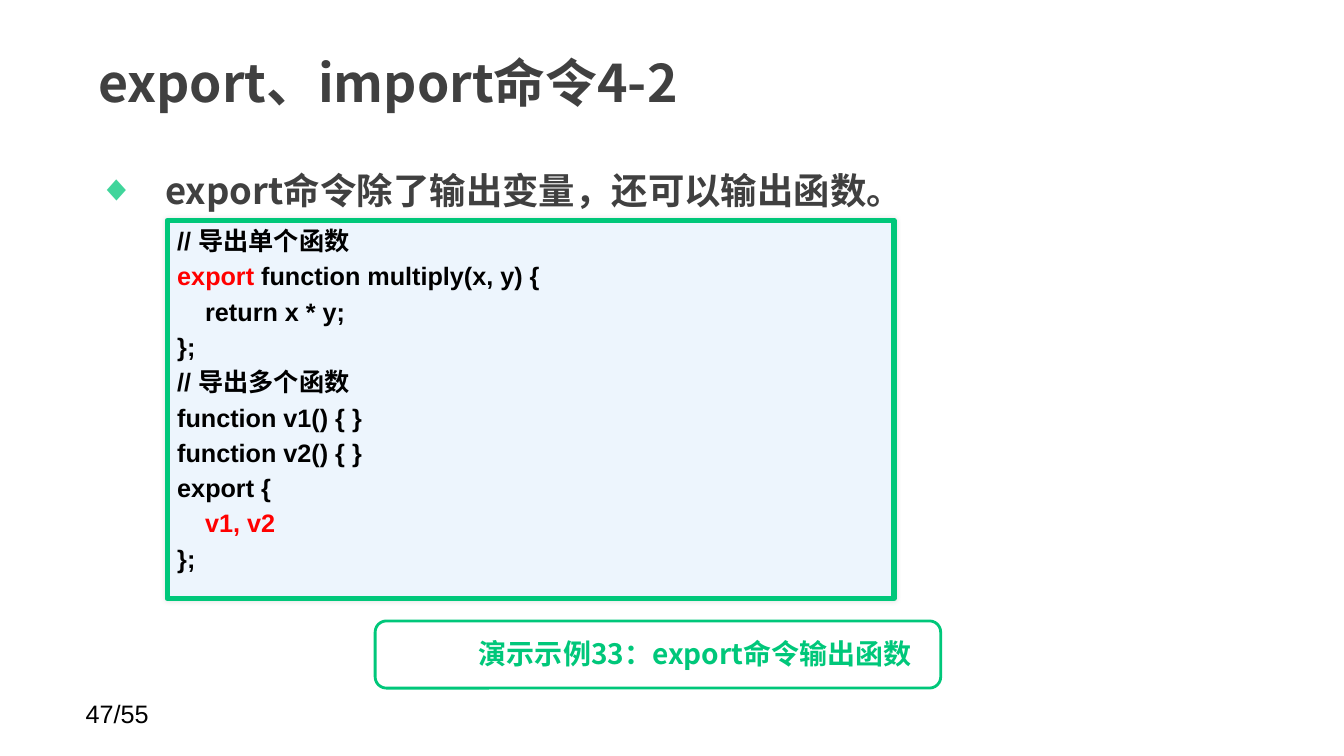
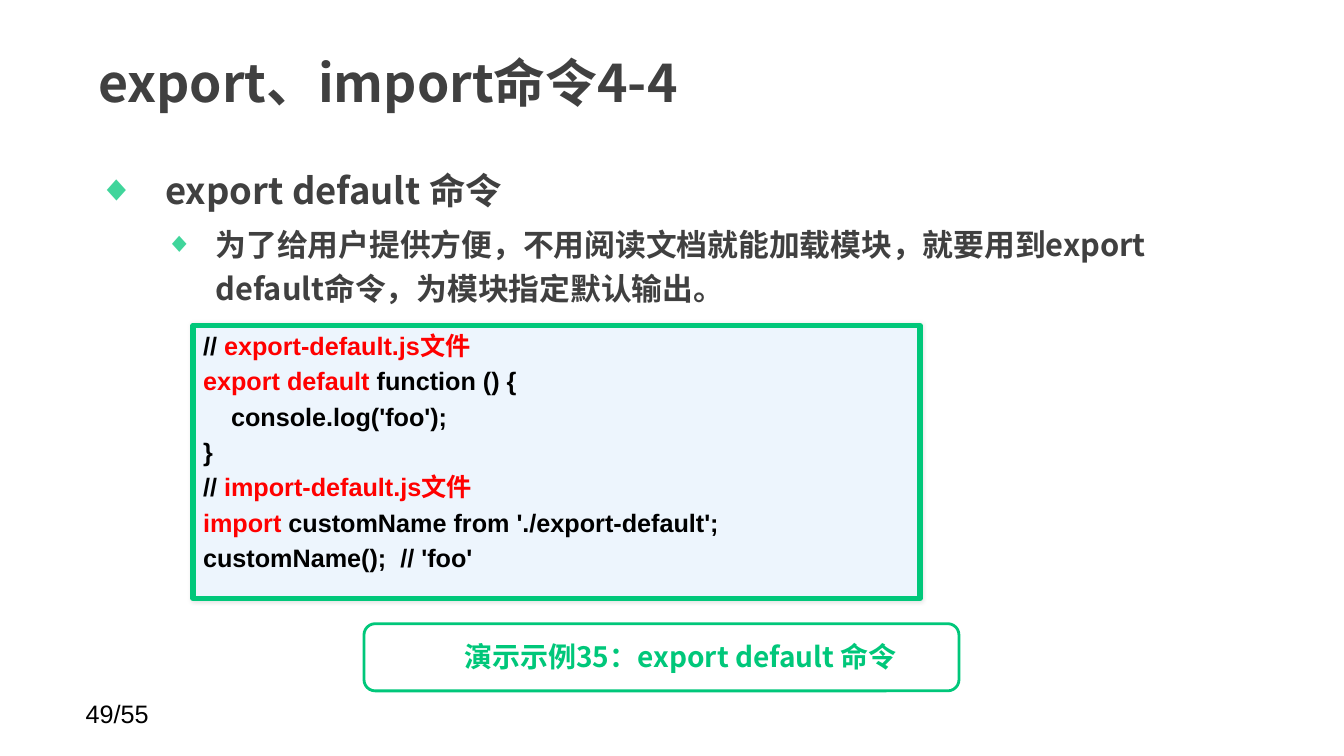
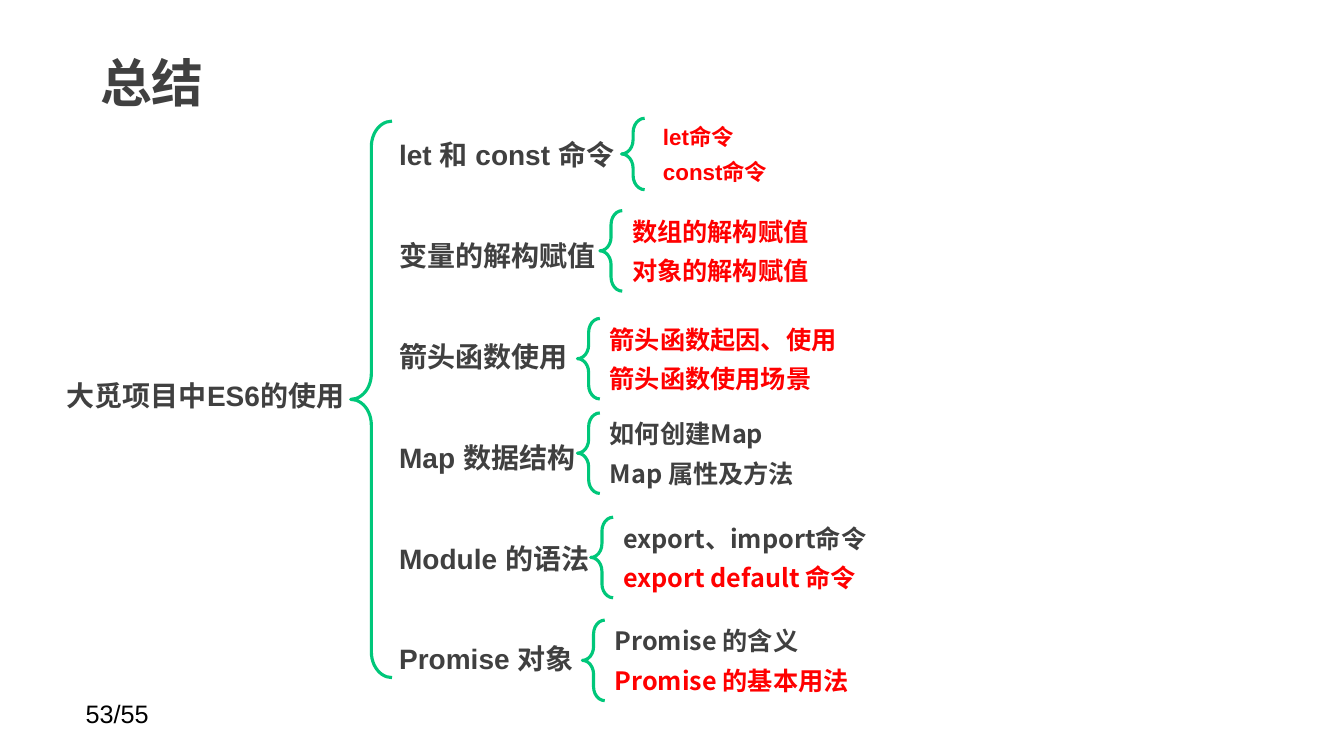
from dataclasses import dataclass

from lxml import etree
from pptx import Presentation
from pptx.dml.color import RGBColor
from pptx.enum.shapes import MSO_SHAPE
from pptx.enum.text import MSO_ANCHOR, PP_ALIGN
from pptx.oxml.ns import qn
from pptx.util import Pt

ROUND_RECT = MSO_SHAPE.ROUNDED_RECTANGLE
LEFT_BRACE = MSO_SHAPE.LEFT_BRACE
TOP, MIDDLE = MSO_ANCHOR.TOP, MSO_ANCHOR.MIDDLE
LEFT, CENTER = PP_ALIGN.LEFT, PP_ALIGN.CENTER


@dataclass(frozen=True)
class Theme:
    green: str = "00C77A"
    bullet: str = "40D59B"
    code_fill: str = "EDF5FD"
    ink: str = "404040"
    black: str = "000000"
    red: str = "FF0000"
    sans: str = "Arial"
    cjk: str = "Noto Sans CJK SC"
    title_size: int = 37
    point_size: int = 26
    subpoint_size: int = 22
    topic_size: int = 20
    code_size: int = 18
    small_size: int = 16
    line_height: float = 1.2


THEME = Theme()
PAGE_COUNT = 55
WIDE_MARGINS = (9.6, 4.8)
NORMAL_MARGINS = (7.2, 3.6)


def rgb(value):
    return RGBColor.from_string(value)


def add_xml(parent, tag, **attributes):
    return etree.SubElement(parent, qn(tag), attributes)


# Text
def setup_frame(shape, margins=NORMAL_MARGINS, anchor=TOP):
    frame = shape.text_frame
    frame.word_wrap = True
    frame.vertical_anchor = anchor
    frame.margin_left = frame.margin_right = Pt(margins[0])
    frame.margin_top = frame.margin_bottom = Pt(margins[1])
    return frame


def add_textbox(slide, left, top, width, height, **setup):
    box = slide.shapes.add_textbox(Pt(left), Pt(top), Pt(width), Pt(height))
    return setup_frame(box, **setup)


def write_line(frame, content, size, font=THEME.cjk, color=THEME.ink, bold=True,
               spacing=1.0, before=0, align=LEFT, bullet=None):
    """Write one paragraph; content is a string or a list of (text, color)."""
    first = not frame.paragraphs[0].runs
    paragraph = frame.paragraphs[0] if first else frame.add_paragraph()
    paragraph.alignment = align
    if spacing:
        paragraph.line_spacing = Pt(round(size * THEME.line_height * spacing, 1))
    if before and not first:
        paragraph.space_before = Pt(before)
    if bullet:
        add_bullet(paragraph, *bullet)

    runs = [(content, color)] if isinstance(content, str) else content
    mixed = len({run_color for _, run_color in runs}) > 1
    for text, run_color in runs:
        run = paragraph.add_run()
        run.text = text
        if mixed:
            run.font.color.rgb = rgb(run_color)

    paragraph.font.size = Pt(size)
    paragraph.font.bold = bold
    paragraph.font.name = font
    if not mixed:
        paragraph.font.color.rgb = rgb(runs[0][1])
    defaults = paragraph._p.pPr.find(qn("a:defRPr"))
    add_xml(defaults, "a:ea", typeface=font)


def add_bullet(paragraph, margin, hanging, percent):
    properties = paragraph._p.get_or_add_pPr()
    properties.set("marL", str(Pt(margin)))
    properties.set("indent", str(-Pt(hanging)))
    color = add_xml(properties, "a:buClr")
    add_xml(color, "a:srgbClr", val=THEME.bullet)
    add_xml(properties, "a:buSzPct", val=str(percent * 1000))
    add_xml(properties, "a:buFont", typeface=THEME.sans)
    add_xml(properties, "a:buChar", char="◆")


# Shapes
def add_outline(slide, kind, left, top, width, height, weight, fill=None):
    shape = slide.shapes.add_shape(kind, Pt(left), Pt(top), Pt(width), Pt(height))
    shape.shadow.inherit = False
    shape.line.color.rgb = rgb(THEME.green)
    shape.line.width = Pt(weight)
    if fill:
        shape.fill.solid()
        shape.fill.fore_color.rgb = rgb(fill)
    else:
        shape.fill.background()
    return shape


def add_brace(slide, left, top, width, height):
    brace = add_outline(slide, LEFT_BRACE, left, top, width, height, 2.25)
    brace.adjustments[0] = 0.62
    brace.adjustments[1] = 0.5


def add_soft_shadow(shape):
    effects = shape._element.spPr.find(qn("a:effectLst"))
    shadow = add_xml(effects, "a:outerShdw", blurRad=str(Pt(3)), dist="0",
                     dir="0", algn="ctr", rotWithShape="0")
    color = add_xml(shadow, "a:srgbClr", val=THEME.black)
    add_xml(color, "a:alpha", val="10000")


# Slide parts
def start_slide(deck, title, page, title_left=60.5):
    slide = deck.slides.add_slide(deck.slide_layouts[6])
    footer = add_textbox(slide, 54, 495, 168, 29)
    write_line(footer, f"{page}/{PAGE_COUNT}", THEME.code_size, THEME.sans,
               THEME.black, bold=False, spacing=None)
    heading = add_textbox(slide, title_left, 21.5, 811.5 - title_left, 74,
                          margins=WIDE_MARGINS, anchor=MIDDLE)
    write_line(heading, title, THEME.title_size, spacing=None)
    return slide


def add_points(slide, point, subpoint=None):
    body = add_textbox(slide, 60.5, 103, 821.5, 379.5, margins=WIDE_MARGINS)
    write_line(body, point, THEME.point_size, spacing=1.4, bullet=(48, 48, 100))
    if subpoint:
        write_line(body, subpoint, THEME.subpoint_size, spacing=1.2, before=4.4,
                   bullet=(84, 36, 90))


def add_code(slide, left, top, height, lines):
    panel = add_outline(slide, ROUND_RECT, left, top, 519, height, 4,
                        THEME.code_fill)
    panel.adjustments[0] = 0
    add_soft_shadow(panel)
    frame = setup_frame(panel)
    for line in lines:
        write_line(frame, line, THEME.code_size, THEME.sans, THEME.black,
                   before=THEME.code_size * 0.2)


def add_demo_label(slide, left, top, width, text, text_offset):
    add_outline(slide, ROUND_RECT, left, top, width, 48, 2)
    label = add_textbox(slide, left + text_offset, top + 7.5, width - 48, 32)
    write_line(label, text, THEME.topic_size, color=THEME.green)


def add_branch(slide, left, top, items, width=16, height=57.5, gap=0,
               size=THEME.code_size, font=THEME.cjk):
    add_brace(slide, left, top, width, height)
    details = add_textbox(slide, left + width + gap, top - 6, 247, height + 6.5)
    for text, color in items:
        write_line(details, text, size, font, color, spacing=1.3)


# Slides
def build_export_functions(deck):
    slide = start_slide(deck, "export、import命令4-2", 47)
    add_points(slide, "export命令除了输出变量，还可以输出函数。")
    add_demo_label(slide, 268, 443.5, 404, "演示示例33：export命令输出函数", 67)
    add_code(slide, 119.5, 157.5, 270, [
        "// 导出单个函数",
        [("export ", THEME.red), ("function multiply(x, y) {", THEME.black)],
        "    return x * y;",
        "};",
        "// 导出多个函数",
        "function v1() { }",
        "function v2() { }",
        "export {",
        [("    v1, v2", THEME.red)],
        "};",
    ])


def build_export_default(deck):
    slide = start_slide(deck, "export、import命令4-4", 49)
    add_points(slide, "export default 命令",
               "为了给用户提供方便，不用阅读文档就能加载模块，就要用到"
               "export default命令，为模块指定默认输出。")
    add_demo_label(slide, 260, 445.5, 425, "演示示例35：export default 命令", 64.5)
    add_code(slide, 138, 232.5, 195, [
        [("// ", THEME.black), ("export-default.js文件", THEME.red)],
        [("export default", THEME.red), (" function () {", THEME.black)],
        "    console.log('foo');",
        "}",
        [("//", THEME.black), (" import-default.js文件", THEME.red)],
        [("import", THEME.red),
         (" customName from './export-default';", THEME.black)],
        "customName();  // 'foo'",
    ])


def build_summary(deck):
    slide = start_slide(deck, "总结", 53, title_left=62)

    # Topics and their root
    topics = add_textbox(slide, 278, 95, 502.5, 395)
    for topic in ("let 和 const 命令", "变量的解构赋值", "箭头函数使用",
                  "Map 数据结构", "Module 的语法", "Promise 对象"):
        write_line(topics, topic, THEME.topic_size, THEME.sans, before=48)
    root = add_textbox(slide, 38, 266.5, 217.5, 32)
    write_line(root, "大觅项目中ES6的使用", THEME.topic_size, THEME.sans,
               align=CENTER)
    add_brace(slide, 250.5, 86.5, 29.5, 397.5)

    # Details of each topic
    add_branch(slide, 444, 84.5,
               [("let命令", THEME.red), ("const命令", THEME.red)],
               width=16.5, height=51, gap=6, size=THEME.small_size,
               font=THEME.sans)
    branches = (
        (428.5, 150.5, [("数组的解构赋值", THEME.red),
                        ("对象的解构赋值", THEME.red)]),
        (412.5, 227.5, [("箭头函数起因、使用", THEME.red),
                        ("箭头函数使用场景", THEME.red)]),
        (412.5, 295, [("如何创建Map", THEME.ink),
                      ("Map 属性及方法", THEME.ink)]),
        (422, 369.5, [("export、import命令", THEME.ink),
                      ("export default 命令", THEME.red)]),
        (416, 443, [("Promise 的含义", THEME.ink),
                    ("Promise 的基本用法", THEME.red)]),
    )
    for left, top, items in branches:
        add_branch(slide, left, top, items)


def main():
    deck = Presentation()
    deck.slide_width, deck.slide_height = Pt(960), Pt(540)
    build_export_functions(deck)
    build_export_default(deck)
    build_summary(deck)
    deck.save("out.pptx")


if __name__ == "__main__":
    main()
